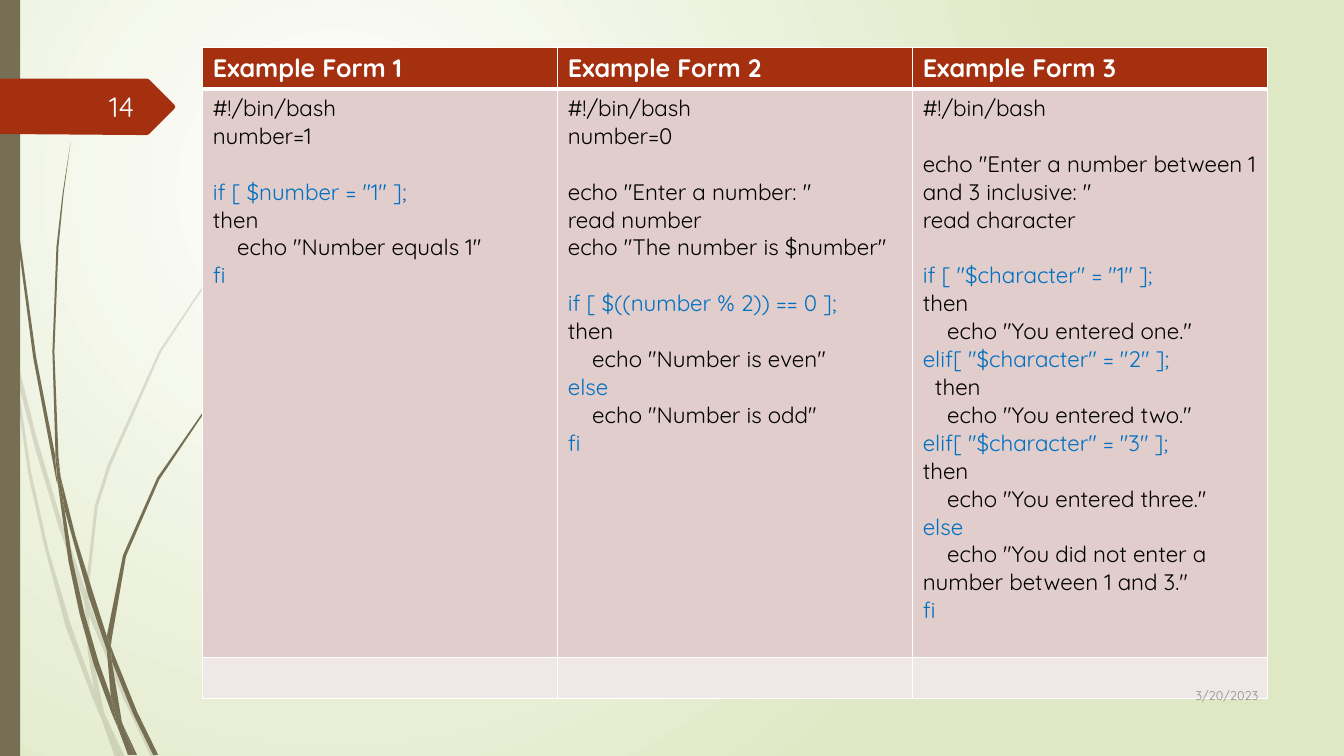
from pptx import Presentation
from pptx.dml.color import RGBColor
from pptx.enum.shapes import MSO_SHAPE
from pptx.enum.text import MSO_ANCHOR, PP_ALIGN
from pptx.oxml import parse_xml
from pptx.oxml.ns import nsdecls, qn
from pptx.util import Cm, Pt
from lxml import etree

RECT = MSO_SHAPE.RECTANGLE
MIDDLE = MSO_ANCHOR.MIDDLE
RIGHT = PP_ALIGN.RIGHT

FONT = "Quicksand"
OLIVE = RGBColor(0x76, 0x6F, 0x54)
RUST = RGBColor(0xA5, 0x30, 0x10)
PINK = RGBColor(0xE1, 0xCD, 0xCC)
PALE_PINK = RGBColor(0xF0, 0xE8, 0xE7)
BLUE = RGBColor(0x00, 0x70, 0xC0)
BLACK = RGBColor(0x00, 0x00, 0x00)
WHITE = RGBColor(0xFF, 0xFF, 0xFF)
OFF_WHITE = RGBColor(0xFE, 0xFF, 0xFF)
GREY = RGBColor(0x8C, 0x8C, 0x8C)
GREEN = RGBColor(0xDF, 0xE8, 0xC4)

UNIT = Cm(0.0254)  # outline points are hundredths of an inch
LINE = Pt(20)      # height of one code line

# Grass outlines: faint blades behind, solid blades in front
FAINT_BLADES = [
    [(11, 350), (9, 322), (0, 282), (0, 299), (10, 344)],
    [(58, 522), (84, 599), (85, 586), (62, 520), (36, 433), (14, 345),
     (17, 376), (36, 449)],
    [(92, 607), (88, 596), (88, 610), (123, 694), (150, 751), (155, 751),
     (127, 692)],
    [(119, 751), (124, 751), (105, 711)],
    [(93, 683), (70, 619), (48, 545), (31, 469), (17, 376), (11, 350),
     (28, 470), (45, 546), (65, 621), (92, 693), (101, 714), (99, 707)],
    [(84, 599), (87, 646), (93, 683), (96, 692), (105, 711), (103, 706),
     (91, 646), (88, 610), (88, 608)],
    [(88, 584), (97, 503), (110, 462), (160, 349), (229, 245), (268, 198),
     (290, 175), (312, 154), (312, 153), (289, 175), (268, 197), (228, 244),
     (158, 348), (107, 461), (94, 502), (85, 584), (85, 586), (88, 596)],
    [(101, 714), (114, 751), (119, 751)],
    [(88, 608), (88, 610), (88, 596), (85, 586), (84, 599)],
    [(96, 692), (93, 683), (99, 707), (101, 714), (119, 751), (105, 711)],
]
SOLID_BLADES = [
    [(7, 110), (17, 233), (33, 355), (56, 477), (57, 481), (55, 457),
     (55, 453), (36, 355), (19, 232), (8, 109), (5, 48), (4, 0), (3, 0),
     (4, 48)],
    [(88, 592), (106, 645), (106, 633), (106, 631), (93, 590), (75, 532),
     (60, 472), (64, 505)],
    [(113, 649), (110, 641), (111, 656), (132, 708), (152, 749), (157, 749),
     (136, 706)],
    [(110, 691), (98, 657), (84, 609), (72, 556), (64, 505), (57, 477),
     (68, 557), (79, 609), (93, 659), (111, 708), (117, 722), (116, 717)],
    [(60, 472), (58, 453), (54, 349), (58, 245), (63, 193), (70, 141),
     (62, 193), (56, 245), (52, 349), (55, 449)],
    [(133, 749), (136, 749), (122, 719)],
    [(57, 477), (64, 505), (60, 472), (55, 449), (55, 453)],
    [(111, 633), (125, 552), (158, 476), (205, 406), (231, 374), (245, 359),
     (261, 344), (260, 344), (245, 358), (231, 373), (204, 405), (156, 474),
     (122, 551), (106, 631), (110, 641)],
    [(117, 722), (127, 749), (131, 749)],
    [(106, 645), (110, 691), (116, 706), (122, 719), (121, 716), (111, 656),
     (109, 651)],
    [(106, 645), (109, 651), (111, 656), (110, 641), (106, 631)],
    [(116, 706), (110, 691), (116, 717), (117, 722), (130, 749), (133, 749),
     (122, 719)],
]
NUMBER_TAG = [(0, 78), (146, 78), (148, 79), (173, 104), (174, 106),
              (173, 108), (148, 133), (146, 134), (136, 134), (0, 133)]

SCRIPTS = {
    "Example Form 1": '''#!/bin/bash
number=1

if [ $number = "1" ];
then
    echo "Number equals 1"
fi''',
    "Example Form 2": '''#!/bin/bash
number=0

echo "Enter a number: "
read number
echo "The number is $number"

if [ $((number % 2)) == 0 ];
then
    echo "Number is even"
else
    echo "Number is odd"
fi''',
    "Example Form 3": '''#!/bin/bash

echo "Enter a number between 1 and 3 inclusive: "
read character

if [ "$character" = "1" ];
then
    echo "You entered one."
elif[ "$character" = "2" ];
  then
    echo "You entered two."
elif[ "$character" = "3" ];
then
    echo "You entered three."
else
    echo "You did not enter a number between 1 and 3."
fi''',
}
KEYWORDS = ("if", "elif", "else", "fi")


def add_run(p, text, size, color, bold=False):
    r = p.add_run()
    r.text = text
    r.font.name, r.font.size, r.font.bold = FONT, Pt(size), bold
    r.font.color.rgb = color


def paint(sp, color, opacity=100):
    sp.shadow.inherit = False
    sp.fill.solid()
    sp.fill.fore_color.rgb = color
    sp.line.fill.background()
    if opacity < 100:
        clr = sp.fill._xPr.find(qn("a:solidFill"))[0]
        etree.SubElement(clr, qn("a:alpha")).set("val", str(opacity * 1000))


def add_outline(s, points, left, top, color, opacity=100):
    builder = s.shapes.build_freeform(*points[0], scale=UNIT)
    builder.add_line_segments(points[1:], close=True)
    paint(builder.convert_to_shape(left, top), color, opacity)


def add_background(s):
    stops = "".join(f'<a:gs pos="{pos}"><a:srgbClr val="{c}"/></a:gs>'
                    for pos, c in ((0, WHITE), (100000, GREEN)))
    s.element.cSld.insert(0, parse_xml(
        f'<p:bg {nsdecls("p", "a")}><p:bgPr><a:gradFill rotWithShape="1">'
        f'<a:gsLst>{stops}</a:gsLst><a:path path="circle"><a:fillToRect '
        'l="50000" t="50000" r="100000" b="100000"/></a:path></a:gradFill>'
        '<a:effectLst/></p:bgPr></p:bg>'))


def add_side_decoration(s, left, top, height):
    for blades, opacity in ((FAINT_BLADES, 20), (SOLID_BLADES, 100)):
        for points in blades:
            add_outline(s, points, left, top, OLIVE, opacity)
    paint(s.shapes.add_shape(RECT, left, top, Cm(0.51), height), OLIVE)
    add_outline(s, NUMBER_TAG, left, top, RUST)


def style_cell(cell, color, top=1, bottom=1):
    tcPr = cell._tc.get_or_add_tcPr()
    for side, width in (("L", 1), ("R", 1), ("T", top), ("B", bottom)):
        tcPr.append(parse_xml(
            f'<a:ln{side} {nsdecls("a")} w="{Pt(width)}"><a:solidFill>'
            f'<a:srgbClr val="{WHITE}"/></a:solidFill></a:ln{side}>'))
    cell.fill.solid()
    cell.fill.fore_color.rgb = color


def fill_code(tf, code):
    p, gap = tf.paragraphs[0], False
    for i, line in enumerate(code.splitlines()):
        if not line:
            gap = True
            continue
        if i:
            p = tf.add_paragraph()
        if gap:
            p.space_before, gap = LINE, False
        keyword = line.split()[0].rstrip("[") in KEYWORDS
        add_run(p, line, 16, BLUE if keyword else BLACK)


def add_script_table(s, left, top, width, height):
    table = s.shapes.add_table(3, len(SCRIPTS), left, top, width, height).table
    table.first_row = table.horz_banding = False
    edge = Cm(1.03)
    for row, h in zip(table.rows, (edge, height - 2 * edge, edge)):
        row.height = h
    for col, (title, code) in enumerate(SCRIPTS.items()):
        head, body, foot = (table.cell(row, col) for row in range(3))
        style_cell(head, RUST, bottom=3)
        style_cell(body, PINK, top=3)
        style_cell(foot, PALE_PINK)
        add_run(head.text_frame.paragraphs[0], title, 18, WHITE, True)
        fill_code(body.text_frame, code)


def add_label(s, text, size, color, left, top, width, height):
    tf = s.shapes.add_textbox(left, top, width, height).text_frame
    tf.word_wrap = True
    tf.vertical_anchor = MIDDLE
    p = tf.paragraphs[0]
    p.alignment = RIGHT
    add_run(p, text, size, color)


def main():
    prs = Presentation()
    prs.slide_width, prs.slide_height = Cm(33.87), Cm(19.05)
    s = prs.slides.add_slide(prs.slide_layouts[6])
    add_background(s)
    add_side_decoration(s, 0, 0, prs.slide_height)
    add_script_table(s, Cm(5.11), Cm(1.19), Cm(26.84), Cm(16.38))
    add_label(s, "3/20/2023", 9, GREY, Cm(28.78), Cm(17.02), Cm(3.18), Cm(1.03))
    add_label(s, "14", 20, OFF_WHITE, Cm(1.47), Cm(2.18), Cm(2.16), Cm(1.02))
    prs.save("out.pptx")


if __name__ == "__main__":
    main()
